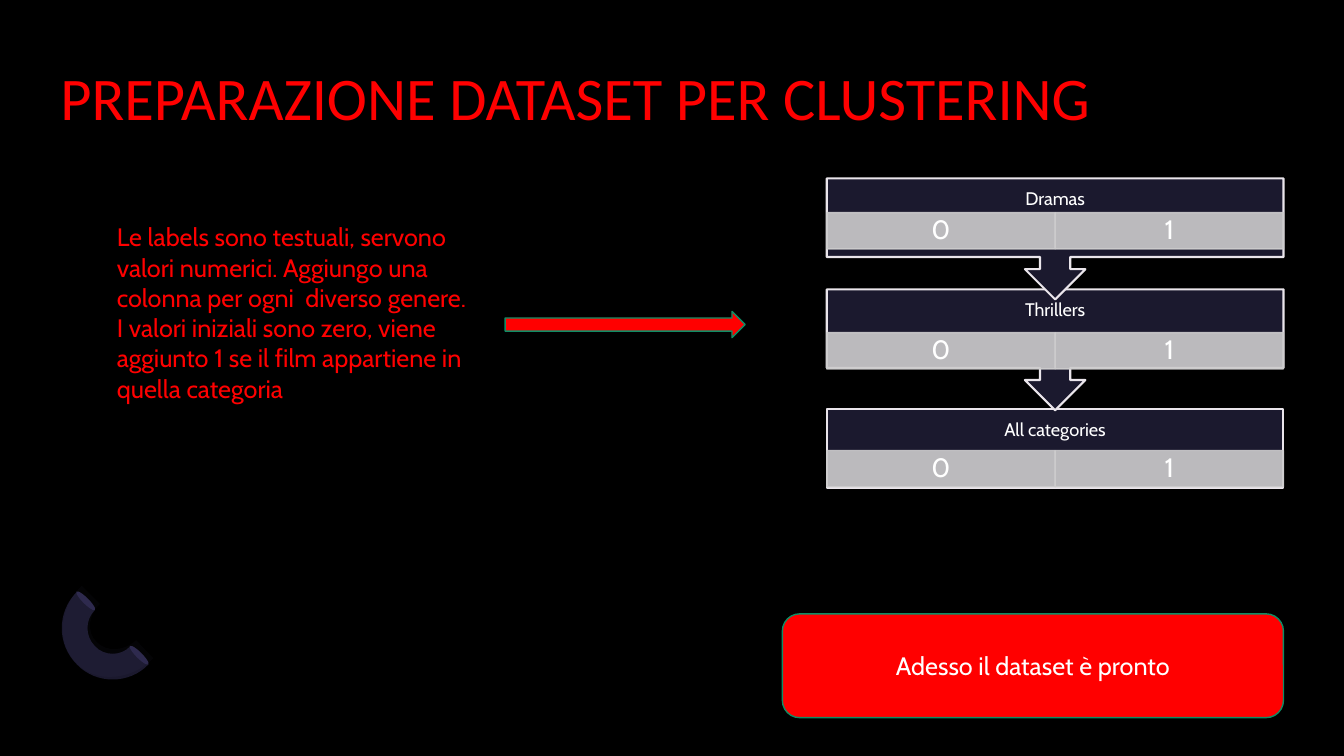
from math import cos, radians, sin
from lxml.etree import SubElement
from pptx import Presentation
from pptx.dml.color import RGBColor
from pptx.enum.shapes import MSO_SHAPE as Shape
from pptx.enum.text import MSO_ANCHOR as Anchor, PP_ALIGN as Align
from pptx.oxml.ns import qn
from pptx.util import Inches, Pt

COLORS = {
    "background": "000000", "accent": "FF0000", "accent_edge": "0E8D65",
    "panel": "1B192E", "panel_edge": "EAE5EB", "cell": "CDCCCD",
    "tip": "2C284A", "sheen": "7771B2", "light": "FFFFFF",
}
STEP_LEFT, STEP_WIDTH = 8.2, 4.53
STEPS = [
    ("All categories", Shape.RECTANGLE, 4.06, 0.78, 4.47),
    ("Thrillers", Shape.UP_ARROW_CALLOUT, 2.87, 1.2, 3.3),
    ("Dramas", Shape.UP_ARROW_CALLOUT, 1.77, 1.2, 2.11),
]
ARC_TURN = 45
UNITS_PER_INCH = 1000
ARC_CENTER = (0.94, 6.41)
ARC = [
    [(0.76, 6.59)],
    [(0.56, 6.39), (0.56, 6.07), (0.76, 5.87)],
    [(0.94, 6.05)],
    [(0.84, 6.15), (0.84, 6.31), (0.94, 6.41)],
    [(1.03, 6.51), (1.2, 6.51), (1.29, 6.41)],
    [(1.47, 6.59)],
    [(1.28, 6.79), (0.95, 6.79), (0.76, 6.59)],
]
SHEEN_CENTER = (0.95, 6.38)
ARC_SHEEN = [
    [(0.76, 6.59)],
    [(0.56, 6.39), (0.58, 6.05), (0.81, 5.82)],
    [(0.99, 6)],
    [(0.87, 6.11), (0.86, 6.29), (0.96, 6.38)],
    [(1.06, 6.48), (1.23, 6.47), (1.35, 6.36)],
    [(1.52, 6.54)],
    [(1.3, 6.76), (0.95, 6.79), (0.76, 6.59)],
]


def rgb(name):
    return RGBColor.from_string(COLORS[name])


def set_opacity(fill_parent, percent):
    color = fill_parent.find(qn("a:solidFill"))[0]
    SubElement(color, qn("a:alpha")).set("val", str(percent * 1000))


def paint(shape, fill, edge=None, edge_width=1, opacity=100):
    shape.shadow.inherit = False
    shape.fill.solid()
    shape.fill.fore_color.rgb = rgb(fill)
    if edge:
        shape.line.color.rgb = rgb(edge)
        shape.line.width = Pt(edge_width)
    else:
        shape.line.fill.background()
    if opacity < 100:
        properties = shape.fill._xPr
        set_opacity(properties, opacity)
        if edge:
            set_opacity(properties.find(qn("a:ln")), opacity)


def add_block(slide, kind, box, fill, edge=None, edge_width=1, opacity=100, turn=0):
    block = slide.shapes.add_shape(kind, *map(Inches, box))
    block.rotation = turn
    paint(block, fill, edge, edge_width, opacity)
    return block


def write(shape, text, size, color="light", font="Cabin", align=Align.CENTER,
          anchor=Anchor.MIDDLE, insets=(0.1, 0.05), spacing=1.0):
    frame = shape.text_frame
    frame.text = text
    frame.word_wrap = True
    frame.vertical_anchor = anchor
    frame.margin_left = frame.margin_right = Inches(insets[0])
    frame.margin_top = frame.margin_bottom = Inches(insets[1])
    paragraph = frame.paragraphs[0]
    paragraph.alignment = align
    paragraph.line_spacing = spacing
    letters = paragraph.runs[0].font
    letters.name, letters.size = font, Pt(size)
    letters.color.rgb = rgb(color)


def add_text(slide, box, text, size, **style):
    write(slide.shapes.add_textbox(*map(Inches, box)), text, size, **style)


def turn_back(point, center):
    angle = radians(-ARC_TURN)
    dx, dy = point[0] - center[0], point[1] - center[1]
    return ((center[0] + dx * cos(angle) - dy * sin(angle)) * UNITS_PER_INCH,
            (center[1] + dx * sin(angle) + dy * cos(angle)) * UNITS_PER_INCH)


def bend_segments(outline, segments):
    lines = iter(outline.findall(qn("a:lnTo")))
    for segment in segments[1:]:
        steps = [next(lines) for _ in segment]
        if len(steps) == 3:
            curve = SubElement(outline, qn("a:cubicBezTo"))
            steps[0].addprevious(curve)
            for step in steps:
                curve.append(step[0])
                outline.remove(step)


def add_arc(slide, segments, center, fill, opacity=100):
    points = [turn_back(point, center) for segment in segments for point in segment]
    builder = slide.shapes.build_freeform(*points[0], scale=Inches(1) / UNITS_PER_INCH)
    builder.add_line_segments(points[1:], close=True)
    arc = builder.convert_to_shape()
    bend_segments(arc._element.find(".//" + qn("a:path")), segments)
    arc.rotation = ARC_TURN
    paint(arc, fill, opacity=opacity)


def add_ornament(slide):
    add_arc(slide, ARC, ARC_CENTER, "panel")
    for left, top in ((1.35, 6.37), (0.82, 5.83)):
        add_block(slide, Shape.OVAL, (left, top, 0.06, 0.26), "tip", turn=135)
    add_arc(slide, ARC_SHEEN, SHEEN_CENTER, "sheen", opacity=4)


def add_step(slide, label, kind, top, height, cell_top):
    turn = 180 if kind == Shape.UP_ARROW_CALLOUT else 0
    add_block(slide, kind, (STEP_LEFT, top, STEP_WIDTH, height),
              "panel", "panel_edge", 1.5, turn=turn)
    add_text(slide, (STEP_LEFT, top, STEP_WIDTH, 0.42), label, 13,
             insets=(0.1, 0.1), spacing=0.9)
    cell_width = STEP_WIDTH / 2
    for column, value in enumerate("01"):
        box = (STEP_LEFT + column * cell_width, cell_top, cell_width, 0.36)
        cell = add_block(slide, Shape.RECTANGLE, box, "cell", "cell", opacity=90)
        write(cell, value, 19, insets=(0.15, 0.03), spacing=0.9)


def main():
    deck = Presentation()
    deck.slide_width, deck.slide_height = Inches(13.33), Inches(7.5)
    slide = deck.slides.add_slide(deck.slide_layouts[6])
    slide.background.fill.solid()
    slide.background.fill.fore_color.rgb = rgb("background")

    add_ornament(slide)
    add_text(slide, (0.6, 0.6, 12.13, 1.46), "PREPARAZIONE DATASET PER CLUSTERING", 43.2,
             color="accent", font="Calibri", align=Align.LEFT, anchor=Anchor.TOP, insets=(0, 0))
    for step in STEPS:
        add_step(slide, *step)
    add_text(slide, (1.06, 2.15, 3.69, 1.92),
             "Le labels sono testuali, servono valori numerici. Aggiungo una colonna "
             "per ogni  diverso genere. I valori iniziali sono zero, viene aggiunto 1 "
             "se il film appartiene in quella categoria",
             18, color="accent", align=Align.LEFT, anchor=Anchor.TOP)
    add_block(slide, Shape.RIGHT_ARROW, (5.01, 3.09, 2.38, 0.26), "accent", "accent_edge")
    conclusion = add_block(slide, Shape.ROUNDED_RECTANGLE, (7.76, 6.09, 4.97, 1.03),
                           "accent", "accent_edge")
    write(conclusion, "Adesso il dataset è pronto", 18)
    deck.save("out.pptx")


if __name__ == "__main__":
    main()
